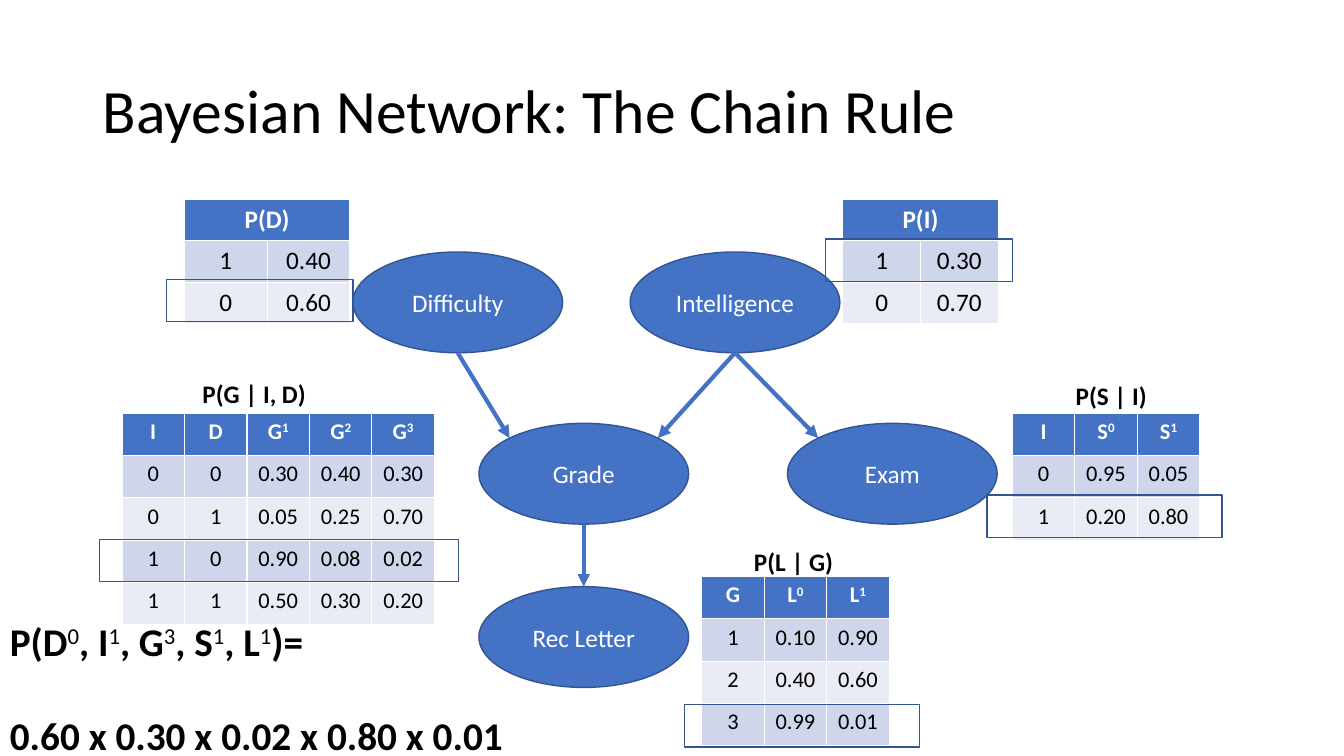
from lxml import etree
from pptx import Presentation
from pptx import util as u
from pptx.dml.color import RGBColor
from pptx.enum import shapes, text
from pptx.oxml.ns import qn

# Text between a pair of carets is superscript. Lengths are inches.
TITLE = "Bayesian Network: The Chain Rule"
FORMULA = ["P(D^0^, I^1^, G^3^, S^1^, L^1^)=", "0.60 x 0.30 x 0.02 x 0.80 x 0.01"]

# left, top, column width, row height, font size, rows
TABLES = [
    (1.21, 4.1, 0.62, 0.42, 16, [
        ["I", "D", "G^1", "G^2", "G^3"],
        ["0", "0", "0.30", "0.40", "0.30"],
        ["0", "1", "0.05", "0.25", "0.70"],
        ["1", "0", "0.90", "0.08", "0.02"],
        ["1", "1", "0.50", "0.30", "0.20"]]),
    (1.83, 1.98, 0.82, 0.41, 18, [["P(D)", ""], ["1", "0.40"], ["0", "0.60"]]),
    (8.36, 1.98, 0.77, 0.41, 18, [["P(I)", ""], ["1", "0.30"], ["0", "0.70"]]),
    (10.04, 4.1, 0.62, 0.42, 16, [
        ["I", "S^0", "S^1"], ["0", "0.95", "0.05"], ["1", "0.20", "0.80"]]),
    (6.96, 5.72, 0.62, 0.42, 16, [
        ["G", "L^0", "L^1"], ["1", "0.10", "0.90"],
        ["2", "0.40", "0.60"], ["3", "0.99", "0.01"]]),
]
CAPTIONS = [("P(G | I, D)", 1.91, 3.7), ("P(S | I)", 10.57, 3.72), ("P(L | G)", 7.38, 5.37)]

NODE_W, NODE_H = 2.08, 1
NODES = {"Difficulty": (3.5, 2.5), "Intelligence": (6.25, 2.5), "Grade": (4.75, 4.2),
         "Exam": (7.81, 4.2), "Rec Letter": (4.75, 5.82)}
# parent, child, where the arrow meets the child: -1 upper left, 0 top, 1 upper right
EDGES = [("Difficulty", "Grade", -1), ("Intelligence", "Grade", 1),
         ("Intelligence", "Exam", -1), ("Grade", "Rec Letter", 0)]

# left, top, width of the frames around the chosen rows
FRAMES = [(1.65, 2.77, 1.85), (8.19, 2.37, 1.85), (0.99, 5.35, 3.56),
          (9.79, 4.91, 2.33), (6.79, 6.99, 2.33)]
FRAME_H = 0.42

FONT = "Calibri"
BLACK = RGBColor(0x00, 0x00, 0x00)
WHITE = RGBColor(0xFF, 0xFF, 0xFF)
BLUE = RGBColor(0x44, 0x72, 0xC4)
OUTLINE = RGBColor(0x32, 0x54, 0x91)
BANDS = [RGBColor(0xE9, 0xEB, 0xF5), RGBColor(0xCF, 0xD5, 0xEA)]


def inches(*values):
    return [u.Inches(v) for v in values]


def write(p, content, size=18, color=BLACK, bold=False, align=text.PP_ALIGN.LEFT):
    p.alignment = align
    for i, part in enumerate(content.split("^")):
        if not part:
            continue
        r = p.add_run()
        r.text = part
        r.font.name, r.font.size, r.font.color.rgb = FONT, u.Pt(size), color
        r.font.bold = bold
        if i % 2:
            r._r.get_or_add_rPr().set("baseline", "30000")


def add_text(slide, lines, box, gap=0, **fmt):
    tf = slide.shapes.add_textbox(*inches(*box)).text_frame
    tf.word_wrap = True
    for i, line in enumerate(lines):
        p = tf.add_paragraph() if i else tf.paragraphs[0]
        if i:
            p.space_before = u.Pt(gap)
        write(p, line, **fmt)


def add_outlined(slide, kind, box):
    s = slide.shapes.add_shape(kind, *inches(*box))
    s.shadow.inherit = False
    s.line.color.rgb, s.line.width = OUTLINE, u.Pt(1)
    return s


def add_probabilities(slide, left, top, col_w, row_h, size, rows):
    n_rows, n_cols = len(rows), len(rows[0])
    table = slide.shapes.add_table(
        n_rows, n_cols, *inches(left, top, col_w * n_cols, row_h * n_rows)).table
    for col in table.columns:
        col.width = u.Inches(col_w)
    for i, row in enumerate(rows):
        table.rows[i].height = u.Inches(row_h)
        for j, value in enumerate(row):
            cell = table.cell(i, j)
            cell.fill.solid()
            cell.fill.fore_color.rgb = BANDS[i % 2] if i else BLUE
            write(cell.text_frame.paragraphs[0], value, size=size, bold=i == 0,
                  color=BLACK if i else WHITE, align=text.PP_ALIGN.CENTER)
    if not rows[0][1]:
        table.cell(0, 0).merge(table.cell(0, 1))


def add_edge(slide, parent, child, side):
    (px, py), (cx, cy) = NODES[parent], NODES[child]
    diagonal = 0.5 ** 0.5
    end_x = cx + NODE_W / 2 * (1 + side * diagonal)
    end_y = cy + (NODE_H / 2 * (1 - diagonal) if side else 0)
    line = slide.shapes.add_connector(
        shapes.MSO_CONNECTOR.STRAIGHT,
        *inches(px + NODE_W / 2, py + NODE_H, end_x, end_y))
    line.line.color.rgb, line.line.width = BLUE, u.Pt(3)
    etree.SubElement(line.line._get_or_add_ln(), qn("a:tailEnd"), type="triangle")
    etree.SubElement(line._element.spPr, qn("a:effectLst"))


def main():
    prs = Presentation()
    prs.slide_width, prs.slide_height = inches(13.33, 7.5)
    slide = prs.slides.add_slide(prs.slide_layouts[5])

    title = slide.shapes.title
    title.left, title.top, title.width, title.height = inches(0.92, 0.4, 11.5, 1.45)
    title.text_frame.vertical_anchor = text.MSO_ANCHOR.MIDDLE
    title.text_frame.paragraphs[0].line_spacing = 0.9
    write(title.text_frame.paragraphs[0], TITLE, size=44)

    for table in TABLES:
        add_probabilities(slide, *table)
    for caption, left, top in CAPTIONS:
        add_text(slide, [caption], (left, top, 1.3, 0.4), bold=True)

    for name, (left, top) in NODES.items():
        node = add_outlined(slide, shapes.MSO_SHAPE.OVAL, (left, top, NODE_W, NODE_H))
        node.fill.solid()
        node.fill.fore_color.rgb = BLUE
        node.text_frame.vertical_anchor = text.MSO_ANCHOR.MIDDLE
        write(node.text_frame.paragraphs[0], name, color=WHITE, align=text.PP_ALIGN.CENTER)
    for edge in EDGES:
        add_edge(slide, *edge)

    add_text(slide, FORMULA, (0, 6.07, 6.09, 1.51), gap=34, size=28, bold=True)
    # Superscripts of the formula are in regular weight
    for p in slide.shapes[-1].text_frame.paragraphs:
        for r in p.runs[1::2]:
            r.font.bold = False

    for left, top, width in FRAMES:
        frame = add_outlined(slide, shapes.MSO_SHAPE.RECTANGLE, (left, top, width, FRAME_H))
        frame.fill.background()

    prs.save("out.pptx")


if __name__ == "__main__":
    main()
